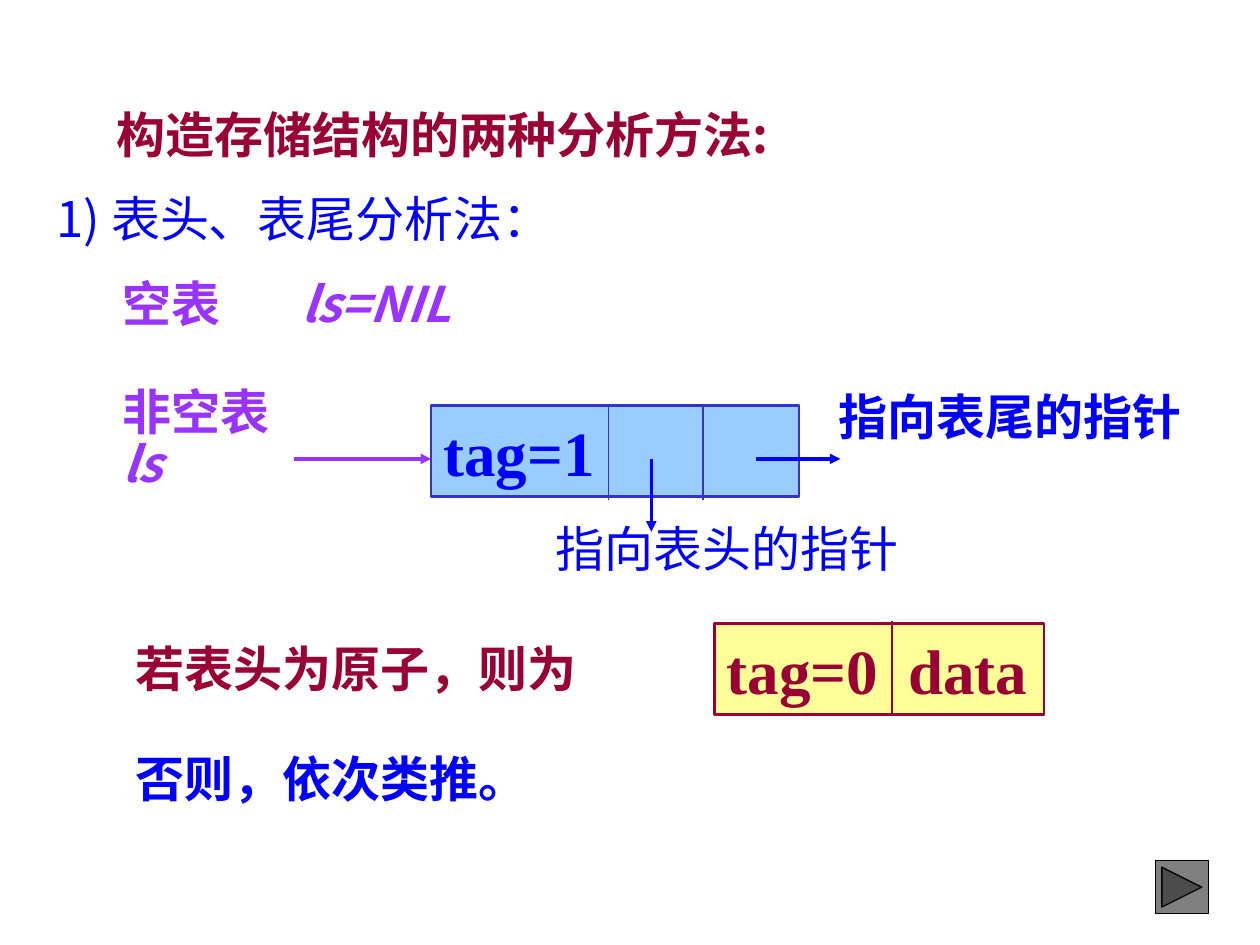
from dataclasses import dataclass

from lxml.etree import SubElement
from pptx import Presentation
from pptx.dml.color import RGBColor
from pptx.enum.shapes import MSO_CONNECTOR, MSO_SHAPE
from pptx.enum.text import MSO_ANCHOR, PP_ALIGN
from pptx.oxml.ns import qn
from pptx.util import Cm, Pt


@dataclass(frozen=True)
class Theme:
    cjk: str = "Noto Sans CJK SC"
    serif: str = "Times New Roman"
    body: float = 28
    node: float = 36
    blue: str = "0000FF"
    wine: str = "990033"
    purple: str = "9933FF"
    indigo: str = "3333CC"
    sky: str = "99CCFF"
    yellow: str = "FFFF99"
    grey: str = "808080"
    black: str = "000000"


T = Theme()


@dataclass(frozen=True)
class Label:
    x: float
    y: float
    w: float
    text: str
    color: str
    bold: bool = True
    spacing: float = 0.88
    italic_tail: str = ""  # set in italics after the text
    tab: float = 0


@dataclass(frozen=True)
class Node:
    x: float
    y: float
    w: float
    text: str
    color: str
    fill: str
    line: str
    dividers: tuple[float, ...]
    divider_y: float
    tab: float = 0


@dataclass(frozen=True)
class Arrow:
    x1: float
    y1: float
    x2: float
    y2: float
    color: str


def add_run(p, text: str, *, font: str, size: float, color: str,
            bold: bool = False, italic: bool = False) -> None:
    r = p.add_run()
    r.text = text
    r.font.name, r.font.size = font, Pt(size)
    r.font.bold, r.font.italic = bold, italic
    r.font.color.rgb = RGBColor.from_string(color)
    SubElement(r.font._element, qn("a:ea")).set("typeface", font)


def add_tab(p, pos: float) -> None:
    tabs = SubElement(p._p.get_or_add_pPr(), qn("a:tabLst"))
    tab = SubElement(tabs, qn("a:tab"))
    tab.set("pos", str(int(Cm(pos))))
    tab.set("algn", "l")


def add_line(s, x1: float, y1: float, x2: float, y2: float, color: str,
             width: float, arrow: bool = False) -> None:
    c = s.shapes.add_connector(MSO_CONNECTOR.STRAIGHT, Cm(x1), Cm(y1), Cm(x2), Cm(y2))
    c.line.color.rgb = RGBColor.from_string(color)
    c.line.width = Pt(width)
    if arrow:
        SubElement(c.line._get_or_add_ln(), qn("a:tailEnd")).set("type", "triangle")
    SubElement(c._element.spPr, qn("a:effectLst"))


def add_box(s, kind, x: float, y: float, w: float, h: float,
            fill: str, line: str, width: float):
    sp = s.shapes.add_shape(kind, Cm(x), Cm(y), Cm(w), Cm(h))
    sp.shadow.inherit = False
    sp.fill.solid()
    sp.fill.fore_color.rgb = RGBColor.from_string(fill)
    sp.line.color.rgb = RGBColor.from_string(line)
    sp.line.width = Pt(width)
    return sp


def add_label(s, label: Label) -> None:
    height = 1.45 if label.spacing < 1 else 1.57
    tf = s.shapes.add_textbox(Cm(label.x), Cm(label.y), Cm(label.w), Cm(height)).text_frame
    tf.word_wrap = label.tab > 0
    p = tf.paragraphs[0]
    if label.tab:
        add_tab(p, label.tab)
    p.line_spacing = label.spacing
    style = dict(font=T.cjk, size=T.body, color=label.color, bold=label.bold)
    add_run(p, label.text, **style)
    if label.italic_tail:
        if not label.tab:
            p.add_line_break()
        add_run(p, label.italic_tail, italic=True, **style)


def add_node(s, node: Node) -> None:
    sp = add_box(s, MSO_SHAPE.RECTANGLE, node.x, node.y, node.w, 1.83,
                 node.fill, node.line, 1.5)
    tf = sp.text_frame
    tf.word_wrap = True
    tf.vertical_anchor = MSO_ANCHOR.MIDDLE
    p = tf.paragraphs[0]
    if node.tab:
        add_tab(p, node.tab)
    p.alignment = PP_ALIGN.LEFT
    add_run(p, node.text, font=T.serif, size=T.node, color=node.color, bold=True)
    for x in node.dividers:
        add_line(s, x, node.divider_y, x, node.divider_y + 1.9, node.line, 0.75)


LABELS = [
    Label(2.1, 2.13, 13.64, "构造存储结构的两种分析方法:", T.wine),
    Label(0.89, 3.68, 10.59, "1) 表头、表尾分析法：", T.blue, bold=False, spacing=1.0),
    Label(2.22, 5.54, 7.49, "空表\t", T.purple, italic_tail="ls=NIL", tab=3.6),
    Label(2.22, 7.72, 4.85, "非空表", T.purple, italic_tail="ls"),
    Label(10.95, 10.49, 7.42, "指向表头的指针", T.blue, bold=False),
    Label(16.66, 7.82, 7.42, "指向表尾的指针", T.blue),
    Label(2.49, 12.75, 9.4, "若表头为原子，则为", T.wine, spacing=1.0),
    Label(2.49, 15.11, 8.41, "否则，依次类推。", T.blue),
]
NODES = [
    Node(8.69, 8.18, 7.42, "tag=1", T.blue, T.sky, T.indigo, (12.27, 14.17), 8.18),
    Node(14.4, 12.57, 6.65, "tag=0\tdata", T.wine, T.yellow, T.wine, (17.98,), 12.52,
         tab=3.66),
]
ARROWS = [
    Arrow(5.92, 9.25, 8.69, 9.25, T.purple),
    Arrow(13.13, 9.25, 13.13, 10.72, T.blue),
    Arrow(15.24, 9.25, 16.94, 9.25, T.blue),
]


def main() -> None:
    prs = Presentation()
    prs.slide_width, prs.slide_height = Cm(25.4), Cm(19.05)
    s = prs.slides.add_slide(prs.slide_layouts[6])

    # List nodes, then the pointers on top of them
    for node in NODES:
        add_node(s, node)
    for a in ARROWS:
        add_line(s, a.x1, a.y1, a.x2, a.y2, a.color, 2, arrow=True)

    # Explanations
    for label in LABELS:
        add_label(s, label)

    # Forward button
    add_box(s, MSO_SHAPE.ACTION_BUTTON_FORWARD_OR_NEXT, 23.29, 17.35, 1.07, 1.07,
            T.grey, T.black, 0.75)
    prs.save("out.pptx")


if __name__ == "__main__":
    main()
